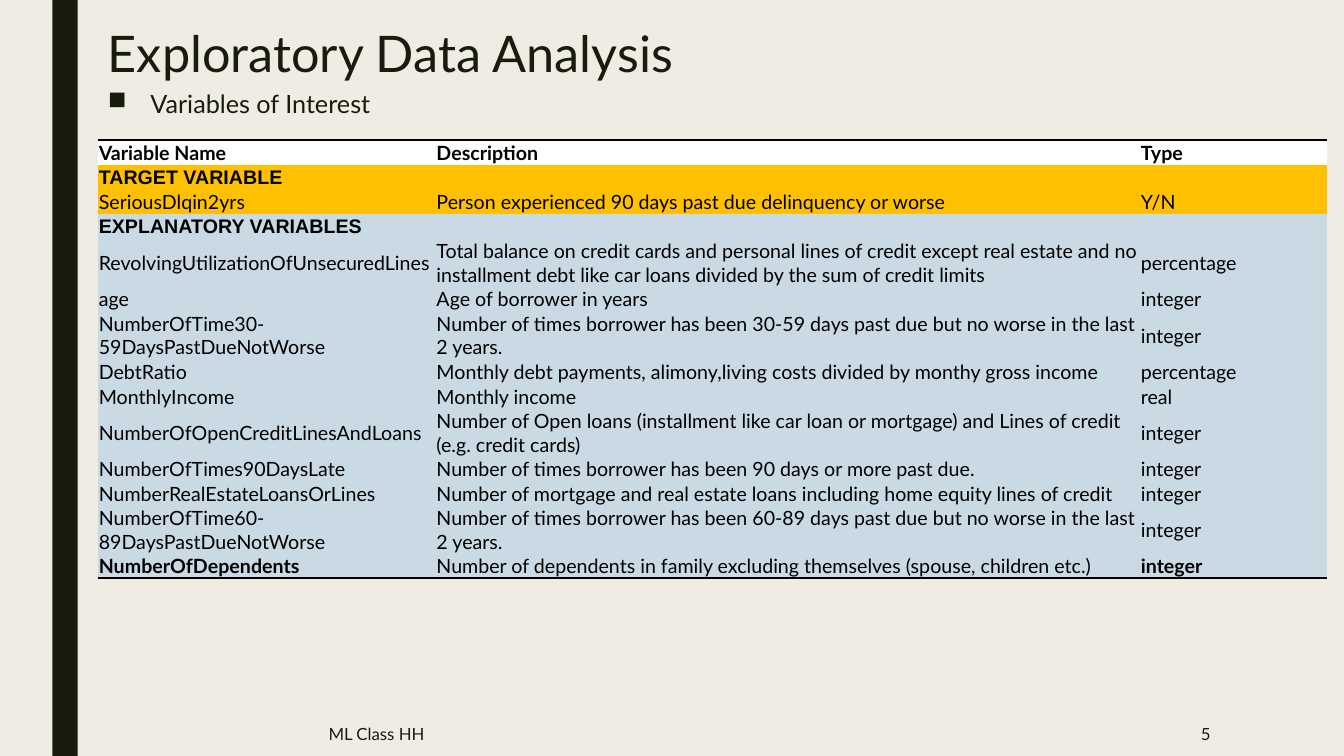
import pptx
import pptx.util
import pptx.dml.color
import pptx.enum.shapes
import pptx.enum.text
import lxml.etree

Cm = pptx.util.Cm
Pt = pptx.util.Pt
RGBColor = pptx.dml.color.RGBColor
Anchor = pptx.enum.text.MSO_ANCHOR
Align = pptx.enum.text.PP_ALIGN

CREAM = RGBColor(0xEF, 0xED, 0xE3)
DARK = RGBColor(0x19, 0x1B, 0x0E)
BLACK = RGBColor(0x00, 0x00, 0x00)
WHITE = RGBColor(0xFF, 0xFF, 0xFF)
GOLD = RGBColor(0xFF, 0xC0, 0x00)
BLUE = RGBColor(0xC9, 0xDA, 0xE4)

NS = "http://schemas.openxmlformats.org/drawingml/2006/main"
PLAIN = "{2D5ABB26-0587-4C30-8999-92F81FD0307C}"

HEAD = ("Variable Name", "Description", "Type")
TARGET = [
    ("TARGET VARIABLE", "", ""),
    ("SeriousDlqin2yrs", "Person experienced 90 days past due delinquency or worse", "Y/N"),
]
INPUTS = [
    ("EXPLANATORY VARIABLES", "", ""),
    ("RevolvingUtilizationOfUnsecuredLines",
     "Total balance on credit cards and personal lines of credit except real estate and no "
     "installment debt like car loans divided by the sum of credit limits", "percentage"),
    ("age", "Age of borrower in years", "integer"),
    ("NumberOfTime30-59DaysPastDueNotWorse",
     "Number of times borrower has been 30-59 days past due but no worse in the last 2 years.",
     "integer"),
    ("DebtRatio",
     "Monthly debt payments, alimony,living costs divided by monthy gross income", "percentage"),
    ("MonthlyIncome", "Monthly income", "real"),
    ("NumberOfOpenCreditLinesAndLoans",
     "Number of Open loans (installment like car loan or mortgage) and Lines of credit "
     "(e.g. credit cards)", "integer"),
    ("NumberOfTimes90DaysLate",
     "Number of times borrower has been 90 days or more past due.", "integer"),
    ("NumberRealEstateLoansOrLines",
     "Number of mortgage and real estate loans including home equity lines of credit", "integer"),
    ("NumberOfTime60-89DaysPastDueNotWorse",
     "Number of times borrower has been 60-89 days past due but no worse in the last 2 years.",
     "integer"),
    ("NumberOfDependents",
     "Number of dependents in family excluding themselves (spouse, children etc.)", "integer"),
]


class Page:
    def __init__(self, slide, face="Lato", color=DARK):
        self.slide = slide
        self.face = face
        self.color = color
        fill = slide.background.fill
        fill.solid()
        fill.fore_color.rgb = CREAM

    def font(self, par, size, color=None, bold=False, face=None):
        par.font.size = Pt(size)
        par.font.name = face or self.face
        par.font.bold = bold
        par.font.color.rgb = self.color if color is None else color

    def bar(self, x, y, w, h):
        bar = self.slide.shapes.add_shape(
            pptx.enum.shapes.MSO_SHAPE.RECTANGLE, Cm(x), Cm(y), Cm(w), Cm(h))
        bar.shadow.inherit = False
        bar.fill.solid()
        bar.fill.fore_color.rgb = self.color
        bar.line.fill.background()

    def text(self, words, x, y, w, h, size, anchor=Anchor.TOP, align=Align.LEFT, lead=1.0):
        frame = self.slide.shapes.add_textbox(Cm(x), Cm(y), Cm(w), Cm(h)).text_frame
        frame.word_wrap = True
        frame.vertical_anchor = anchor
        par = frame.paragraphs[0]
        par.text = words
        par.alignment = align
        par.line_spacing = lead
        self.font(par, size)
        return par

    def bullet(self, words, x, y, w, h, size):
        par = self.text(words, x, y, w, h, size, lead=0.94)
        par.space_before = Pt(10)
        par.space_after = Pt(2)
        props = par._p.get_or_add_pPr()
        props.set("marL", str(Cm(1.07)))
        props.set("indent", str(-Cm(1.07)))
        mark = lxml.etree.Element(f"{{{NS}}}buChar", char="■")
        props.insert(len(props) - 1, mark)

    def rule(self, cell, side):
        line = lxml.etree.Element(f"{{{NS}}}{side}", w=str(Pt(2)))
        fill = lxml.etree.SubElement(line, f"{{{NS}}}solidFill")
        lxml.etree.SubElement(fill, f"{{{NS}}}srgbClr", val=str(BLACK))
        cell._tc.get_or_add_tcPr().insert(0, line)

    def cell(self, cell, words, fill, bold, face, anchor):
        cell.fill.solid()
        cell.fill.fore_color.rgb = fill
        cell.margin_left = cell.margin_right = cell.margin_top = Cm(0.02)
        cell.margin_bottom = 0
        cell.vertical_anchor = anchor
        par = cell.text_frame.paragraphs[0]
        self.font(par, 14, BLACK, bold, face)
        if words:
            par.text = words
        else:
            lxml.etree.SubElement(par._p, f"{{{NS}}}endParaRPr", sz="1400")

    def table(self, x, y, widths, bands):
        rows = [(row, fill) for group, fill in bands for row in group]
        last = len(rows) - 1
        frame = self.slide.shapes.add_table(
            len(rows), len(widths), Cm(x), Cm(y), Cm(sum(widths)), Cm(0.62 * len(rows)))
        table = frame.table
        table.first_row = table.horz_banding = False
        table._tbl.tblPr.find(f"{{{NS}}}tableStyleId").text = PLAIN
        for col, width in zip(table.columns, widths):
            col.width = Cm(width)
        for r, (row, fill) in enumerate(rows):
            wraps = len(row[1]) > 80 or len(row[0]) > 36
            table.rows[r].height = Cm(1.21 if wraps else 0.62)
            label = not row[1]
            for c, words in enumerate(row):
                cell = table.cell(r, c)
                bold = r == 0 or label or (r == last and c != 1)
                self.cell(cell, words, fill, bold, "Arial" if label else None,
                          Anchor.MIDDLE if r else Anchor.BOTTOM)
                if r == 0:
                    self.rule(cell, "lnT")
                if r == last:
                    self.rule(cell, "lnB")


def main():
    deck = pptx.Presentation()
    deck.slide_width = Cm(33.87)
    deck.slide_height = Cm(19.05)
    page = Page(deck.slides.add_slide(deck.slide_layouts[6]))
    page.bar(1.32, 0, 0.64, 19.05)
    page.text("Exploratory Data Analysis", 2.47, 0.61, 26.67, 1.37, 36, lead=0.89)
    page.bullet("Variables of Interest", 2.47, 2.16, 26.67, 9.96, 18)
    page.table(2.47, 3.53, (8.51, 17.75, 4.72),
               (([HEAD], WHITE), (TARGET, GOLD), (INPUTS, BLUE)))
    page.text("ML Class HH", 8.03, 17.93, 17.45, 1.12, 12, Anchor.MIDDLE)
    page.text("5", 26.31, 17.93, 4.45, 1.12, 12, Anchor.MIDDLE, Align.RIGHT)
    deck.save("out.pptx")


if __name__ == "__main__":
    main()
